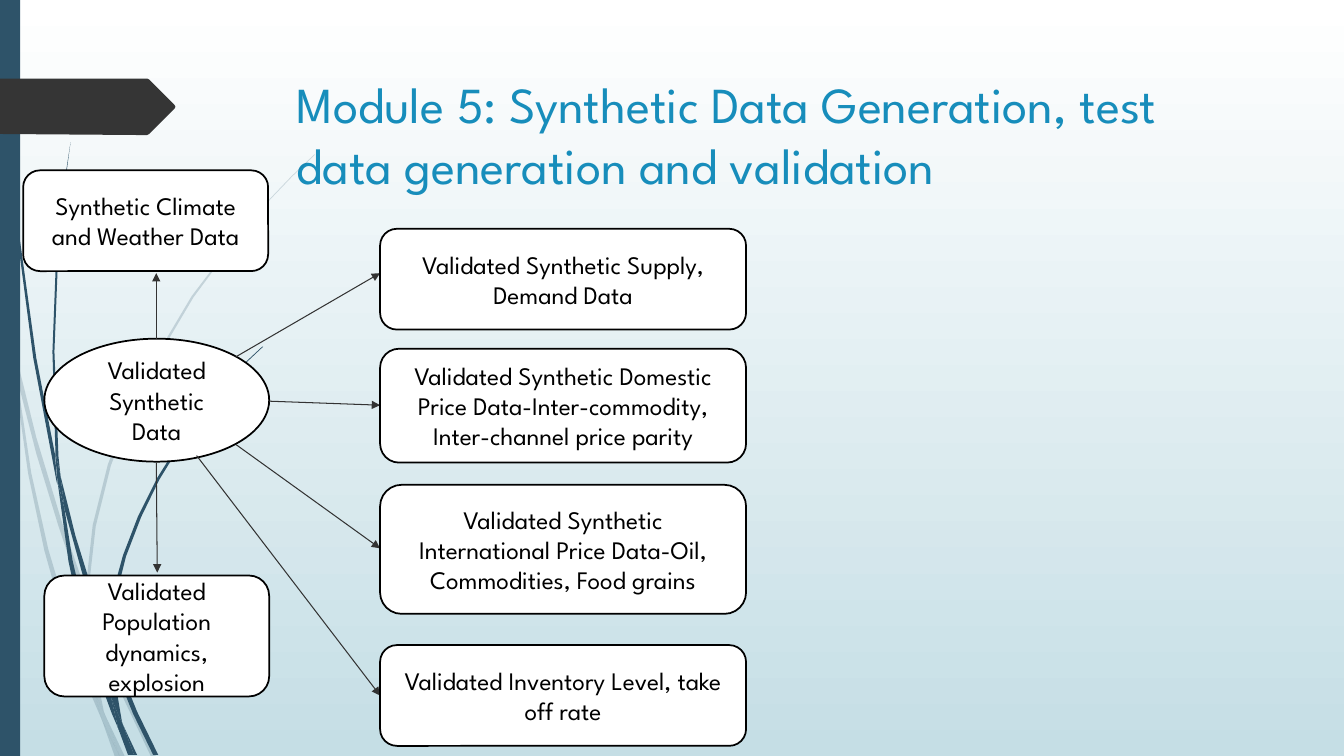
import pptx
import pptx.dml.color
import pptx.enum.shapes
import pptx.enum.text
import pptx.oxml
import pptx.oxml.ns
import pptx.util

Inches = pptx.util.Inches
RGBColor = pptx.dml.color.RGBColor
Shape = pptx.enum.shapes.MSO_SHAPE
Align = pptx.enum.text.PP_ALIGN
Anchor = pptx.enum.text.MSO_ANCHOR

WHITE = RGBColor(0xFF, 0xFF, 0xFF)
BLACK = RGBColor(0x00, 0x00, 0x00)
PALE_BLUE = RGBColor(0xC5, 0xDE, 0xE5)
NAVY = RGBColor(0x2E, 0x53, 0x69)
CHARCOAL = RGBColor(0x35, 0x35, 0x35)
ARROW_GREY = RGBColor(0x33, 0x33, 0x33)
TITLE_BLUE = RGBColor(0x17, 0x8D, 0xBB)

FAINT_WISPS = [
    [(0.11, 3.5), (0.09, 3.22), (0, 2.82), (0, 2.99), (0.1, 3.44)],
    [(0.58, 5.22), (0.84, 5.99), (0.85, 5.86), (0.62, 5.2), (0.36, 4.34), (0.14, 3.45),
     (0.17, 3.76), (0.36, 4.5)],
    [(0.92, 6.07), (0.88, 5.96), (0.88, 6.1), (1.23, 6.94), (1.5, 7.51), (1.55, 7.51),
     (1.27, 6.92)],
    [(1.19, 7.51), (1.24, 7.51), (1.05, 7.11)],
    [(0.93, 6.83), (0.7, 6.19), (0.48, 5.45), (0.31, 4.69), (0.17, 3.76), (0.11, 3.5),
     (0.28, 4.7), (0.44, 5.46), (0.65, 6.21), (0.92, 6.93), (1.01, 7.14), (0.99, 7.07)],
    [(0.84, 5.99), (0.87, 6.46), (0.93, 6.83), (0.96, 6.92), (1.05, 7.11), (1.03, 7.06),
     (0.91, 6.46), (0.88, 6.1), (0.88, 6.08)],
    [(0.88, 5.84), (0.95, 5.22), (1.1, 4.62), (1.32, 4.04), (1.6, 3.49), (1.92, 2.95),
     (2.29, 2.45), (2.68, 1.98), (2.9, 1.75), (3.12, 1.54), (3.12, 1.53), (2.89, 1.75),
     (2.68, 1.97), (2.28, 2.44), (1.9, 2.94), (1.58, 3.48), (1.29, 4.03), (1.07, 4.61),
     (0.92, 5.21), (0.85, 5.84), (0.85, 5.86), (0.88, 5.96)],
    [(1.01, 7.14), (1.14, 7.51), (1.19, 7.51)],
    [(0.96, 6.92), (0.93, 6.83), (0.99, 7.07), (1.01, 7.14), (1.19, 7.51), (1.05, 7.11)],
]

DARK_WISPS = [
    [(0.07, 1.1), (0.17, 2.33), (0.33, 3.55), (0.56, 4.77), (0.57, 4.81), (0.55, 4.57),
     (0.55, 4.53), (0.36, 3.55), (0.19, 2.32), (0.08, 1.09), (0.05, 0.48), (0.04, 0),
     (0.03, 0), (0.04, 0.48)],
    [(0.88, 5.92), (1.06, 6.45), (1.06, 6.33), (1.06, 6.31), (0.93, 5.9), (0.75, 5.32),
     (0.6, 4.72), (0.64, 5.05)],
    [(1.13, 6.49), (1.1, 6.41), (1.11, 6.56), (1.32, 7.08), (1.52, 7.49), (1.57, 7.49),
     (1.36, 7.06)],
    [(1.1, 6.91), (0.98, 6.57), (0.84, 6.07), (0.72, 5.56), (0.64, 5.05), (0.57, 4.77),
     (0.68, 5.57), (0.79, 6.08), (0.93, 6.59), (1.11, 7.08), (1.17, 7.22), (1.16, 7.17)],
    [(0.6, 4.72), (0.58, 4.53), (0.54, 3.49), (0.58, 2.45), (0.63, 1.93), (0.7, 1.41),
     (0.62, 1.93), (0.56, 2.45), (0.52, 3.49), (0.55, 4.49)],
    [(1.33, 7.49), (1.36, 7.49), (1.22, 7.19)],
    [(0.57, 4.77), (0.64, 5.05), (0.6, 4.72), (0.55, 4.49), (0.55, 4.53)],
    [(1.11, 6.33), (1.15, 5.92), (1.25, 5.52), (1.4, 5.13), (1.58, 4.76), (1.8, 4.4),
     (2.05, 4.06), (2.31, 3.74), (2.45, 3.59), (2.61, 3.44), (2.6, 3.44), (2.45, 3.58),
     (2.31, 3.73), (2.04, 4.05), (1.78, 4.39), (1.56, 4.74), (1.37, 5.12), (1.22, 5.51),
     (1.11, 5.91), (1.06, 6.31), (1.1, 6.41)],
    [(1.17, 7.22), (1.27, 7.49), (1.31, 7.49)],
    [(1.06, 6.45), (1.1, 6.91), (1.16, 7.06), (1.22, 7.19), (1.21, 7.16), (1.11, 6.56),
     (1.09, 6.51)],
    [(1.16, 7.06), (1.1, 6.91), (1.16, 7.17), (1.17, 7.22), (1.3, 7.49), (1.33, 7.49),
     (1.22, 7.19)],
]

PAGE_MARKER = [(1.73, 1.08), (1.48, 1.33), (1.46, 1.34), (1.36, 1.34), (0, 1.33),
               (0, 0.78), (1.46, 0.78), (1.48, 0.79), (1.73, 1.04), (1.74, 1.06)]

ARROWS = [
    ((2.34, 3.54), (3.77, 2.71)),
    ((2.67, 3.98), (3.77, 4.02)),
    ((2.34, 4.41), (3.77, 5.44)),
    ((1.95, 4.52), (3.77, 6.9)),
    ((1.55, 4.59), (1.56, 5.68)),
    ((1.55, 3.36), (1.55, 2.71)),
]

SIDE_BOXES = [
    ("Synthetic Climate and Weather Data", 0.23, 1.69, 2.43, 1),
    ("Validated Population dynamics, explosion", 0.44, 5.71, 2.23, 1.2),
]

OUTPUT_BOXES = [
    ("Validated Synthetic Supply, Demand Data", 2.27, 1),
    ("Validated Synthetic Domestic Price Data-Inter-commodity, "
     "Inter-channel price parity", 3.46, 1.13),
    ("Validated Synthetic International Price Data-Oil, Commodities, Food grains", 4.81, 1.28),
    ("Validated Inventory Level, take off rate", 6.4, 1),
]


class SlideBuilder:
    title_font = {"name": "League Spartan", "size": pptx.util.Pt(36)}
    body_font = {"name": "League Spartan", "size": pptx.util.Pt(18)}

    def __init__(self, page):
        self.page = page

    def apply(self, target, values):
        for name, value in values.items():
            setattr(target, name, value)

    def background(self, top, bottom):
        fill = self.page.background.fill
        fill.gradient()
        fill.gradient_angle = 270
        for stop, color, position in zip(fill.gradient_stops, (top, bottom), (0, 1)):
            stop.color.rgb = color
            stop.position = position

    def label(self, box, text, font, color, align, anchor):
        frame = box.text_frame
        self.apply(frame, {"word_wrap": True, "vertical_anchor": anchor,
                           "auto_size": pptx.enum.text.MSO_AUTO_SIZE.NONE})
        para = frame.paragraphs[0]
        para.alignment = align
        span = para.add_run()
        span.text = text
        self.apply(span.font, font)
        span.font.color.rgb = color

    def title(self, text, left, top, width, height):
        box = self.page.shapes.title
        self.apply(box, {"left": Inches(left), "top": Inches(top),
                         "width": Inches(width), "height": Inches(height)})
        self.label(box, text, self.title_font, TITLE_BLUE, Align.LEFT, Anchor.TOP)

    def paint(self, shape, color, opacity=100):
        shape.shadow.inherit = False
        shape.fill.solid()
        shape.fill.fore_color.rgb = color
        shape.line.fill.background()
        if opacity < 100:
            tint = shape._element.spPr.find(".//" + pptx.oxml.ns.qn("a:srgbClr"))
            alpha = pptx.oxml.parse_xml(
                f'<a:alpha {pptx.oxml.ns.nsdecls("a")} val="{opacity * 1000}"/>')
            tint.append(alpha)

    def outline(self, points, color, opacity=100):
        corners = [(Inches(x), Inches(y)) for x, y in points]
        builder = self.page.shapes.build_freeform(*corners[0])
        builder.add_line_segments(corners[1:], close=True)
        self.paint(builder.convert_to_shape(), color, opacity)

    def shape(self, kind, color, *place):
        shape = self.page.shapes.add_shape(kind, *map(Inches, place))
        self.paint(shape, color)
        return shape

    def node(self, text, *place, kind=Shape.ROUNDED_RECTANGLE):
        box = self.shape(kind, WHITE, *place)
        box.line.color.rgb = BLACK
        box.line.width = pptx.util.Pt(1.25)
        self.label(box, text, self.body_font, BLACK, Align.CENTER, Anchor.MIDDLE)

    def arrow(self, start, end):
        arrow = self.page.shapes.add_connector(
            pptx.enum.shapes.MSO_CONNECTOR.STRAIGHT, *map(Inches, start + end))
        arrow.line.color.rgb = ARROW_GREY
        arrow.line.width = pptx.util.Pt(0.75)
        names = pptx.oxml.ns.nsdecls("a")
        arrow._element.spPr.find(pptx.oxml.ns.qn("a:ln")).append(
            pptx.oxml.parse_xml(f'<a:tailEnd {names} type="triangle"/>'))
        arrow._element.spPr.append(pptx.oxml.parse_xml(f"<a:effectLst {names}/>"))


def main():
    deck = pptx.Presentation()
    deck.slide_width = Inches(13.33)
    deck.slide_height = Inches(7.5)
    slide = SlideBuilder(deck.slides.add_slide(deck.slide_layouts[5]))
    slide.background(WHITE, PALE_BLUE)
    for wisp in FAINT_WISPS:
        slide.outline(wisp, NAVY, 20)
    for wisp in DARK_WISPS:
        slide.outline(wisp, NAVY)
    slide.shape(Shape.RECTANGLE, NAVY, 0, 0, 0.2, 7.5)
    slide.outline(PAGE_MARKER, CHARCOAL)
    slide.title("Module 5: Synthetic Data Generation, test data generation and validation",
                2.84, 0.68, 9.75, 1.4)
    slide.node("Validated Synthetic Data", 0.44, 3.36, 2.23, 1.22, kind=Shape.OVAL)
    for start, end in ARROWS:
        slide.arrow(start, end)
    for text, top, height in OUTPUT_BOXES:
        slide.node(text, 3.77, top, 3.63, height)
    for text, *place in SIDE_BOXES:
        slide.node(text, *place)
    deck.save("out.pptx")


if __name__ == "__main__":
    main()
